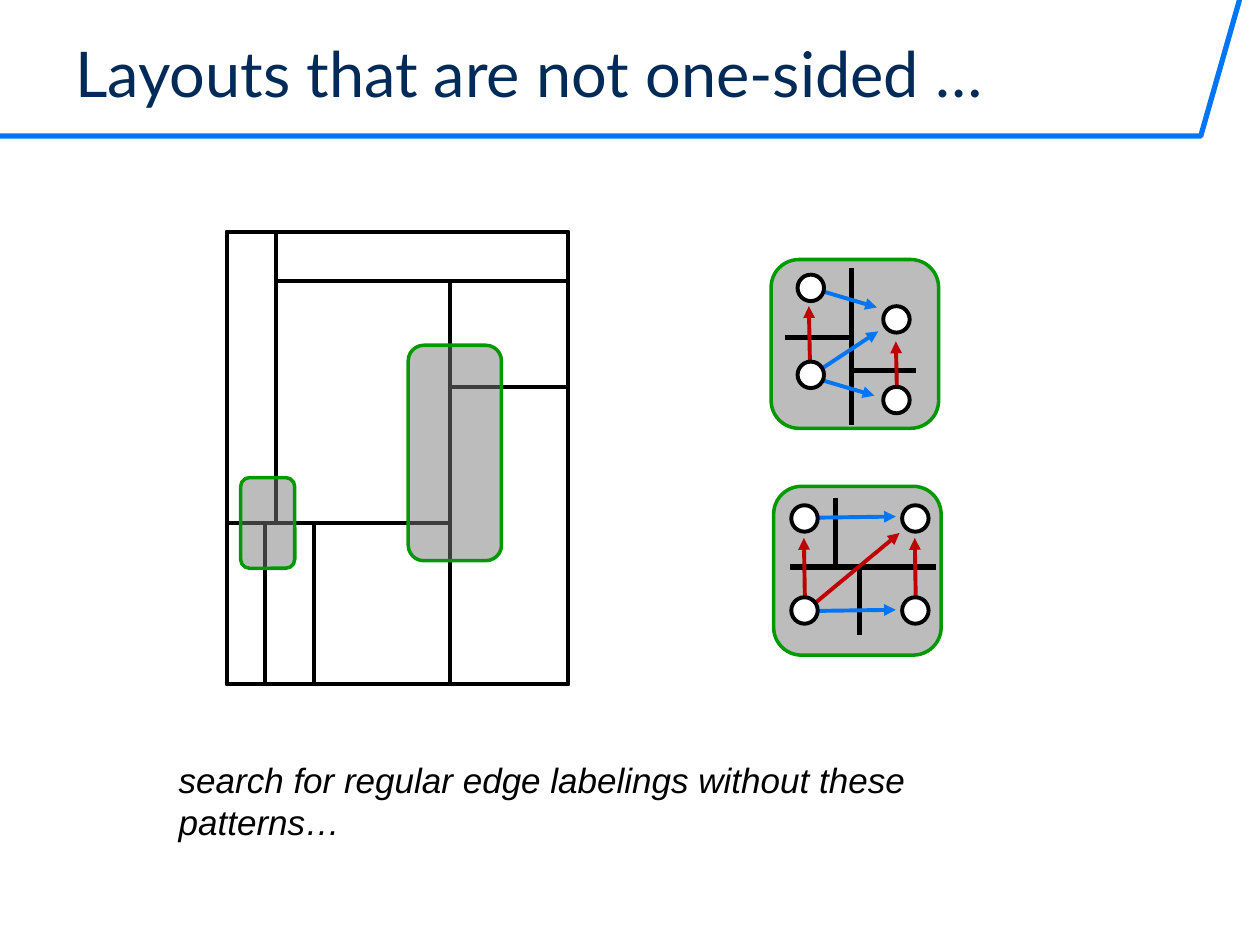
"""Build a slide on rectangular layouts that are not one-sided."""
import pptx
import pptx.util
import pptx.dml.color
import pptx.enum.shapes
import pptx.enum.text
import pptx.oxml
import lxml.etree

Inches = pptx.util.Inches
Pt = pptx.util.Pt
Shape = pptx.enum.shapes.MSO_SHAPE
Anchor = pptx.enum.text.MSO_ANCHOR
color = pptx.dml.color.RGBColor.from_string
qn = pptx.oxml.ns.qn

BLACK, WHITE, GRAY, GREEN = "000000", "FFFFFF", "7B7B7B", "009900"
BLUE, RED, NAVY = "0075F6", "C00000", "002A58"

deck = pptx.Presentation()
deck.slide_width, deck.slide_height = Inches(10), Inches(7.5)
page = deck.slides.add_slide(deck.slide_layouts[6])


def add_outline(kind, left, top, width, height, line, weight, fill=None, alpha=None):
    shape = page.shapes.add_shape(kind, Inches(left), Inches(top), Inches(width), Inches(height))
    shape.shadow.inherit = False
    shape.line.color.rgb = color(line)
    shape.line.width = Pt(weight)
    if fill is None:
        shape.fill.background()
        return
    shape.fill.solid()
    shape.fill.fore_color.rgb = color(fill)
    if alpha is not None:
        tint = shape.fill._xPr.find(qn("a:solidFill"))[0]
        lxml.etree.SubElement(tint, qn("a:alpha"), val=str(alpha * 1000))


def add_line(x1, y1, x2, y2, line, weight, arrow=False):
    connector = page.shapes.add_connector(
        pptx.enum.shapes.MSO_CONNECTOR.STRAIGHT, Inches(x1), Inches(y1), Inches(x2), Inches(y2))
    connector.line.color.rgb = color(line)
    connector.line.width = Pt(weight)
    if arrow:
        lxml.etree.SubElement(connector.line._get_or_add_ln(), qn("a:tailEnd"), type="triangle")
    lxml.etree.SubElement(connector._element.spPr, qn("a:effectLst"))


builder = page.shapes.build_freeform(0, Inches(1.08))
builder.add_line_segments([(Inches(9.53), Inches(1.08)), (Inches(9.84), Inches(-0.01))], close=False)
header_rule = builder.convert_to_shape()
header_rule.shadow.inherit = False
header_rule.fill.background()
header_rule.line.color.rgb = color(BLUE)
header_rule.line.width = Pt(3)

texts = [
    ("Layouts that are not one-sided …", 0.5, 0.21, 9.28, 0.71, Anchor.BOTTOM, "Lato", 36, NAVY, False),
    ("search for regular edge labelings without these patterns…",
     1.32, 5.97, 7.2, 0.43, Anchor.TOP, "Arial", 20, BLACK, True),
]
for text, left, top, width, height, anchor, font, size, ink, italic in texts:
    box = page.shapes.add_textbox(Inches(left), Inches(top), Inches(width), Inches(height))
    box.text_frame.word_wrap = True
    box.text_frame.vertical_anchor = anchor
    para = box.text_frame.paragraphs[0]
    para.text = text
    para.font.name = font
    para.font.size = Pt(size)
    para.font.italic = italic
    para.font.color.rgb = color(ink)

rooms = [
    (2.19, 2.23, 3.57, 4.15), (3.57, 3.07, 4.51, 5.43), (1.8, 1.84, 4.51, 5.43),
    (1.8, 1.84, 2.19, 4.15), (2.19, 1.84, 4.51, 2.23), (3.57, 2.23, 4.51, 3.07),
    (1.8, 4.15, 2.1, 5.43), (2.1, 4.15, 2.49, 5.43),
]
for left, top, right, bottom in rooms:
    add_outline(Shape.RECTANGLE, left, top, right - left, bottom - top, BLACK, 2.25)

for left, top, width, height in [(3.24, 2.74, 0.74, 1.71), (1.91, 3.79, 0.43, 0.72)]:
    add_outline(Shape.ROUNDED_RECTANGLE, left, top, width, height, GREEN, 2, GRAY, 50)

patterns = [
    {"corner": (6.14, 3.86),
     "walls": [(6.27, 4.5, 7.43, 4.5), (6.82, 4.5, 6.82, 5.04), (6.63, 3.95, 6.63, 4.5)],
     "arrows": [(6.38, 4.85, 7.11, 4.84, BLUE), (7.27, 4.86, 7.26, 4.27, RED),
                (6.38, 4.11, 7.11, 4.1, BLUE), (6.39, 4.86, 6.38, 4.27, RED),
                (6.38, 4.86, 7.14, 4.23, RED)],
     "nodes": [(7.16, 4.01), (6.28, 4.01), (7.16, 4.74), (6.28, 4.74)]},
    {"corner": (6.12, 2.06),
     "walls": [(6.76, 2.13, 6.76, 3.37), (6.76, 2.94, 7.27, 2.94), (6.23, 2.68, 6.77, 2.68)],
     "arrows": [(6.44, 2.98, 6.97, 2.63, BLUE), (6.43, 2.99, 6.94, 3.14, BLUE),
                (6.42, 2.28, 6.96, 2.44, BLUE), (7.12, 3.16, 7.11, 2.71, RED),
                (6.43, 2.98, 6.42, 2.43, RED)],
     "nodes": [(7.01, 2.43), (6.33, 2.87), (6.33, 2.18), (7.01, 3.07)]},
]
for pattern in patterns:
    add_outline(Shape.ROUNDED_RECTANGLE, *pattern["corner"], 1.33, 1.34, GREEN, 2, GRAY, 50)
    for wall in pattern["walls"]:
        add_line(*wall, BLACK, 3)
    for arrow in pattern["arrows"]:
        add_line(*arrow, 2.25, arrow=True)
    for node in pattern["nodes"]:
        add_outline(Shape.OVAL, *node, 0.21, 0.21, BLACK, 2.25, WHITE)

deck.save("out.pptx")
